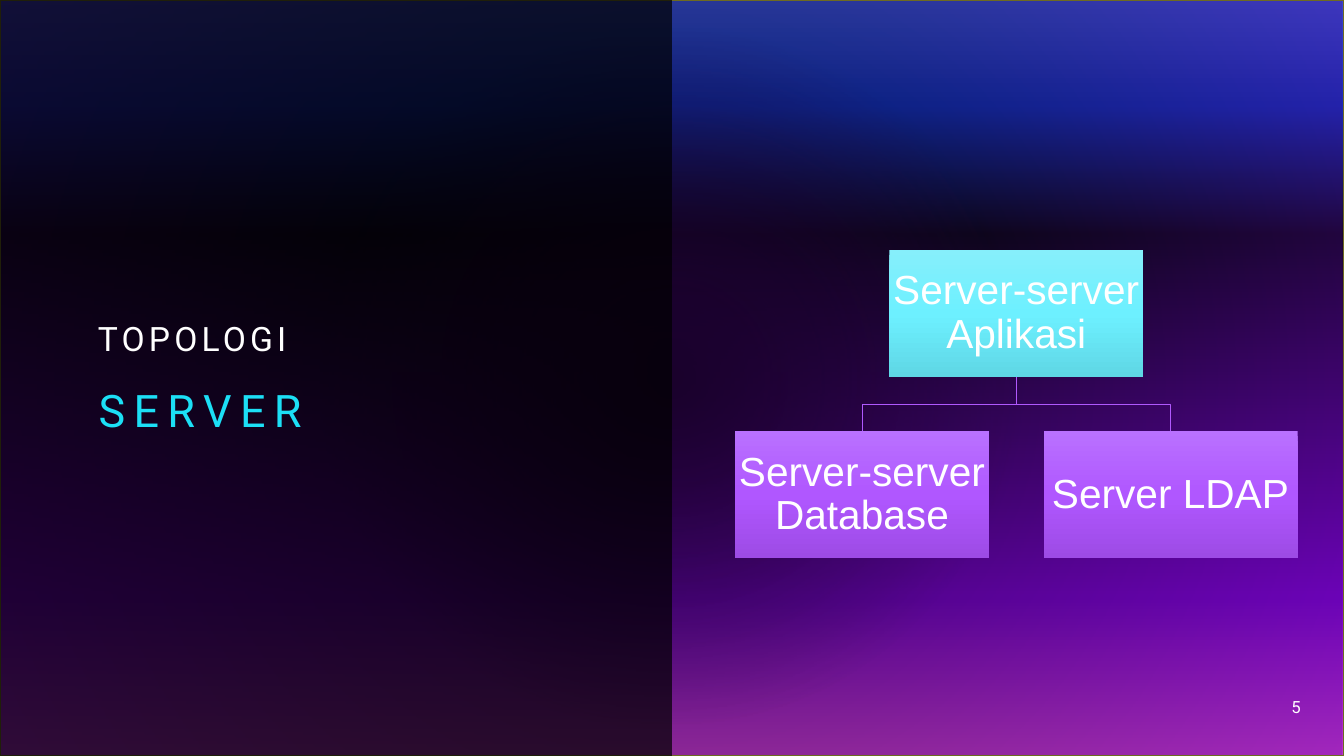
from dataclasses import dataclass

from lxml import etree
from pptx import Presentation
from pptx.dml.color import RGBColor
from pptx.enum.shapes import MSO_SHAPE
from pptx.enum.text import MSO_ANCHOR, MSO_AUTO_SIZE, PP_ALIGN
from pptx.oxml.ns import qn
from pptx.util import Inches, Pt

RECT = MSO_SHAPE.RECTANGLE
LEFT, MID, RIGHT = PP_ALIGN.LEFT, PP_ALIGN.CENTER, PP_ALIGN.RIGHT
TOP, CENTER, BASE = MSO_ANCHOR.TOP, MSO_ANCHOR.MIDDLE, MSO_ANCHOR.BOTTOM
FIXED = MSO_AUTO_SIZE.NONE

WIDE, HIGH = 13.33, 7.5
TREE_X, TREE_Y = 7.29, 2.48
BOX_W, BOX_H = 2.52, 1.26
COL, ROW = 3.06, 1.8


@dataclass(frozen=True)
class Theme:
    head: str = "Roboto"
    body: str = "Arial"
    white: str = "FFFFFF"
    black: str = "000000"
    cyan: str = "1CDFF5"
    wire: str = "B059FD"
    edge: str = "6E6A21"
    title: int = 24
    sub: int = 32
    node: int = 29
    page: int = 12
    sky: tuple = ((0, "316CFC"), (14, "0343DF"), (31, "02090E"),
                  (79, "9405FC"), (100, "FC4EFB"))
    veil: tuple = ((0, "1A012C"), (45, "1A012C", 50), (100, "4A027F", 50))
    root: tuple = ((0, "86EFFB"), (50, "6DF0FF"), (100, "5FD7E5"))
    leaf: tuple = ((0, "B971FF"), (50, "B057FF"), (100, "9D4BE5"))


THEME = Theme()


def rgb(code):
    return RGBColor.from_string(code)


def fade(color, share):
    etree.SubElement(color, qn("a:alpha"), val=str(share * 1000))


def blend(item, stops, round_=False):
    solid = next(item.element.iter(qn("a:solidFill")))
    grad = etree.Element(qn("a:gradFill"), rotWithShape="1")
    steps = etree.SubElement(grad, qn("a:gsLst"))
    for pos, code, *share in stops:
        step = etree.SubElement(steps, qn("a:gs"), pos=str(pos * 1000))
        color = etree.SubElement(step, qn("a:srgbClr"), val=code)
        if share:
            fade(color, share[0])
    if round_:
        way = etree.SubElement(grad, qn("a:path"), path="circle")
        etree.SubElement(way, qn("a:fillToRect"),
                         {side: "50000" for side in "ltrb"})
    else:
        etree.SubElement(grad, qn("a:lin"), ang="5400000", scaled="0")
    solid.getparent().replace(solid, grad)


def add_rect(slide, x, y, w, h):
    rect = slide.shapes.add_shape(RECT, *map(Inches, (x, y, w, h)))
    rect.shadow.inherit = False
    rect.fill.solid()
    rect.fill.fore_color.rgb = rgb(THEME.black)
    rect.line.fill.background()
    return rect


def write(shape, text, size, color, font, align, anchor, lead=0.9, gap=0):
    frame = shape.text_frame
    frame.text = text
    frame.word_wrap = True
    frame.auto_size = FIXED
    frame.vertical_anchor = anchor
    para = frame.paragraphs[0]
    para.alignment = align
    para.line_spacing = lead
    run = para.runs[0]
    run.font.name = font
    run.font.size = Pt(size)
    run.font.color.rgb = rgb(color)
    if gap:
        run.font._element.set("spc", str(gap * 100))
    return para


def add_text(slide, place, *style, **more):
    box = slide.shapes.add_textbox(*map(Inches, place))
    return write(box, *style, **more)


def add_elbow(slide, x1, y1, x2, y2):
    bend = (y1 + y2) / 2
    pen = slide.shapes.build_freeform(Inches(x1), Inches(y1))
    turns = ((x1, bend), (x2, bend), (x2, y2))
    pen.add_line_segments([(Inches(x), Inches(y)) for x, y in turns],
                          close=False)
    elbow = pen.convert_to_shape()
    elbow.shadow.inherit = False
    elbow.fill.background()
    elbow.line.color.rgb = rgb(THEME.wire)
    elbow.line.width = Pt(0.5)


def add_node(slide, text, col, row, stops):
    box = add_rect(slide, TREE_X + col * COL, TREE_Y + row * ROW, BOX_W, BOX_H)
    blend(box, stops)
    frame = box.text_frame
    frame.margin_left = frame.margin_right = Inches(0.02)
    frame.margin_top = frame.margin_bottom = Inches(0.02)
    write(box, text, THEME.node, THEME.white, THEME.body, MID, CENTER)


def add_tree(slide, root, leaves):
    mid = (len(leaves) - 1) / 2
    axis = TREE_X + BOX_W / 2
    for col in reversed(range(len(leaves))):
        add_elbow(slide, axis + mid * COL, TREE_Y + BOX_H,
                  axis + col * COL, TREE_Y + ROW)
    add_node(slide, root, mid, 0, THEME.root)
    for col, text in enumerate(leaves):
        add_node(slide, text, col, 1, THEME.leaf)


def add_back(slide):
    slide.background.fill.solid()
    slide.background.fill.fore_color.rgb = rgb(THEME.black)
    blend(slide, THEME.sky)
    veil = add_rect(slide, 0, 0, WIDE, HIGH)
    blend(veil, THEME.veil, round_=True)
    veil.line.color.rgb = rgb(THEME.edge)
    veil.line.width = Pt(1)
    panel = add_rect(slide, 0, 0, WIDE / 2, HIGH)
    fade(next(panel.element.iter(qn("a:srgbClr"))), 70)


def add_title(slide, text):
    title = slide.shapes.title
    slide.shapes.element.append(title.element)
    title.left, title.top = Inches(0.87), Inches(0.56)
    title.width, title.height = Inches(5.43), Inches(3.05)
    write(title, text, THEME.title, THEME.white, THEME.head, LEFT, BASE, gap=3)


def main():
    deck = Presentation()
    deck.slide_width, deck.slide_height = Inches(WIDE), Inches(HIGH)
    slide = deck.slides.add_slide(deck.slide_layouts[5])
    add_back(slide)
    add_title(slide, "TOPOLOGI")
    sub = add_text(slide, (0.88, 3.81, 5.42, 2.61), "SERVER", THEME.sub,
                   THEME.cyan, THEME.head, LEFT, TOP, gap=6)
    sub.space_before = Pt(10)
    add_text(slide, (10, 6.81, 3, 0.4), "5", THEME.page, THEME.white,
             THEME.head, RIGHT, CENTER, lead=1.0)
    add_tree(slide, "Server-server Aplikasi",
             ("Server-server Database", "Server LDAP"))
    deck.save("out.pptx")


if __name__ == "__main__":
    main()
